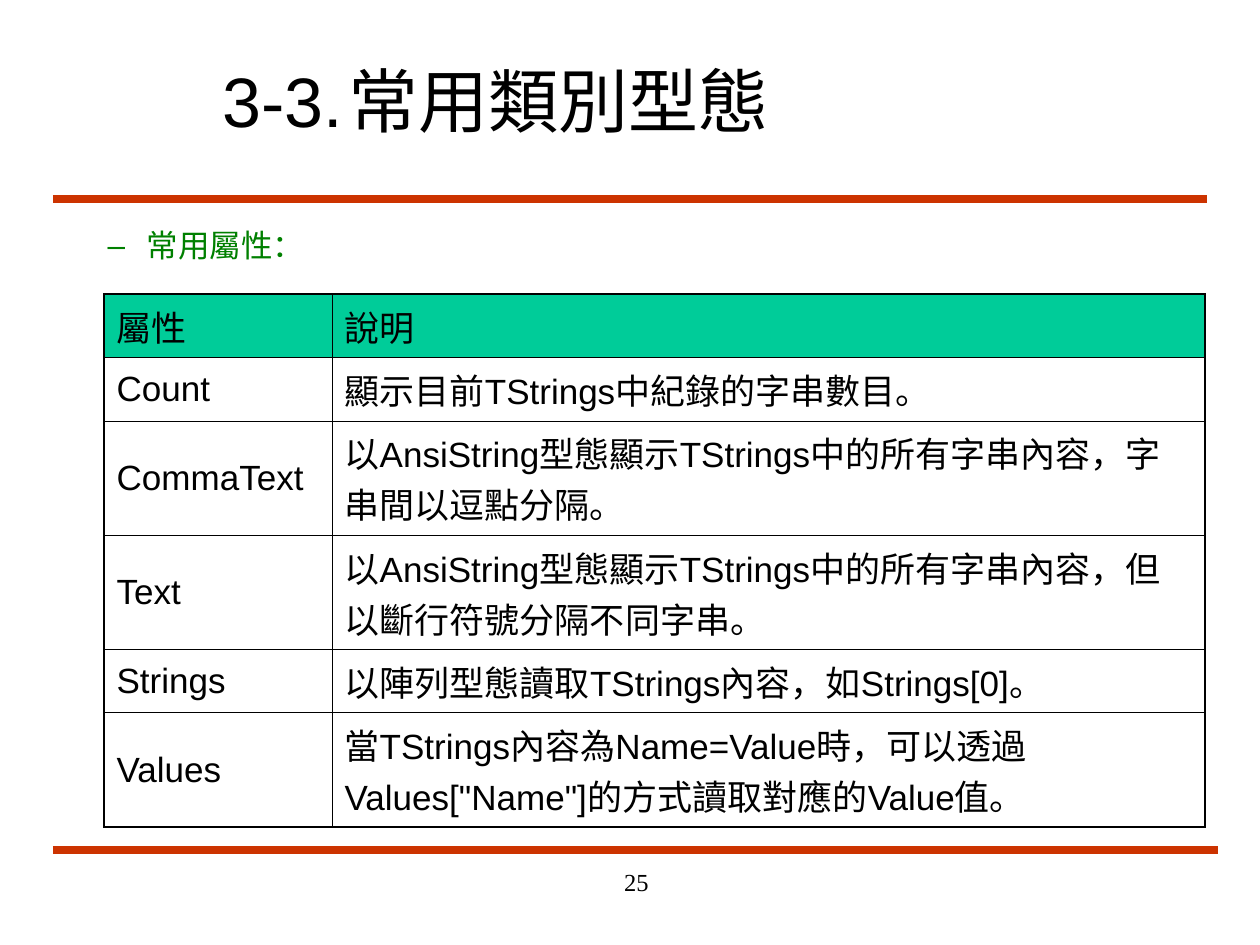
from dataclasses import dataclass

from lxml import etree
from pptx import Presentation
from pptx import util as u
from pptx.dml.color import RGBColor
from pptx.enum import shapes, text
from pptx.oxml.ns import qn

PX_PER_INCH = 126


def px(n):
    return u.Emu(round(n * 914400 / PX_PER_INCH))


@dataclass(frozen=True)
class Theme:
    ink: str = "000000"
    rule: str = "CC3300"
    accent: str = "008000"
    header: str = "00CC99"
    sans: str = "Arial"
    serif: str = "Times New Roman"
    title: float = 40
    table: float = 20
    body: float = 18
    page: float = 14
    rule_width: float = 4.5
    outer: float = 1.08
    inner: float = 0.45


class Deck:
    def __init__(self, theme, width, height):
        self.t = theme
        self.prs = Presentation()
        self.prs.slide_width, self.prs.slide_height = px(width), px(height)

    def new_slide(self):
        self.s = self.prs.slides.add_slide(self.prs.slide_layouts[1])

    def place(self, sp, box):
        sp.left, sp.top, sp.width, sp.height = map(px, box)

    def set_words(self, tf, words, size, color=None, font=None):
        tf.text = words
        p = tf.paragraphs[0]
        for r in p.runs:
            r.font.size = u.Pt(size)
            r.font.name = font or self.t.sans
            r.font.color.rgb = RGBColor.from_string(color or self.t.ink)
        return p

    def title(self, words, box, tab):
        sp = self.s.shapes.title
        self.place(sp, box)
        tf = sp.text_frame
        tf.auto_size = text.MSO_AUTO_SIZE.NONE
        tf.vertical_anchor = text.MSO_ANCHOR.MIDDLE
        p = self.set_words(tf, words, self.t.title)
        p.alignment = text.PP_ALIGN.LEFT
        tabs = etree.SubElement(p._p.get_or_add_pPr(), qn("a:tabLst"))
        etree.SubElement(tabs, qn("a:tab"), pos=str(px(tab)), algn="l")

    def dash_item(self, words, box, margin, hanging):
        sp = self.s.placeholders[1]
        self.place(sp, box)
        tf = sp.text_frame
        tf.auto_size = text.MSO_AUTO_SIZE.NONE
        p = self.set_words(tf, words, self.t.body, self.t.accent)
        p.level = 1
        p.space_before = u.Pt(0)
        pPr = p._p.get_or_add_pPr()
        pPr.set("marL", str(px(margin)))
        pPr.set("indent", str(-px(hanging)))
        color = etree.SubElement(pPr, qn("a:buClr"))
        etree.SubElement(color, qn("a:srgbClr"), val=self.t.accent)
        etree.SubElement(pPr, qn("a:buChar"), char="–")

    def rule(self, x1, x2, y):
        line = self.s.shapes.add_connector(
            shapes.MSO_CONNECTOR.STRAIGHT, px(x1), px(y), px(x2), px(y))
        line.line.color.rgb = RGBColor.from_string(self.t.rule)
        line.line.width = u.Pt(self.t.rule_width)
        etree.SubElement(line._element.spPr, qn("a:effectLst"))

    def border(self, cell, side, width):
        ln = etree.SubElement(cell._tc.get_or_add_tcPr(), qn("a:ln" + side),
                              w=str(u.Pt(width)))
        fill = etree.SubElement(ln, qn("a:solidFill"))
        etree.SubElement(fill, qn("a:srgbClr"), val=self.t.ink)

    def table(self, rows, x, y, widths, heights):
        n_rows, n_cols = len(rows), len(widths)
        tbl = self.s.shapes.add_table(n_rows, n_cols, px(x), px(y),
                                      px(sum(widths)), px(sum(heights))).table
        tbl.first_row = tbl.horz_banding = False
        for col, w in zip(tbl.columns, widths):
            col.width = px(w)
        for row, h in zip(tbl.rows, heights):
            row.height = px(h)
        for i, row in enumerate(rows):
            for j, words in enumerate(row):
                cell = tbl.cell(i, j)
                cell.vertical_anchor = text.MSO_ANCHOR.MIDDLE
                cell.margin_left = cell.margin_right = u.Inches(0.1)
                cell.margin_top = cell.margin_bottom = u.Inches(0.05)
                self.set_words(cell.text_frame, words, self.t.table)
                # Heavier line around the outside of the grid
                edges = {"L": j == 0, "R": j == n_cols - 1,
                         "T": i == 0, "B": i == n_rows - 1}
                for side, outside in edges.items():
                    self.border(cell, side,
                                self.t.outer if outside else self.t.inner)
                if i == 0:
                    cell.fill.solid()
                    cell.fill.fore_color.rgb = RGBColor.from_string(self.t.header)
                else:
                    cell.fill.background()

    def page_number(self, words, box):
        tf = self.s.shapes.add_textbox(*map(px, box)).text_frame
        tf.word_wrap = True
        p = self.set_words(tf, words, self.t.page, font=self.t.serif)
        p.alignment = text.PP_ALIGN.RIGHT


PROPERTIES = [
    ("屬性", "說明"),
    ("Count", "顯示目前TStrings中紀錄的字串數目。"),
    ("CommaText", "以AnsiString型態顯示TStrings中的所有字串內容，字串間以逗點分隔。"),
    ("Text", "以AnsiString型態顯示TStrings中的所有字串內容，但以斷行符號分隔不同字串。"),
    ("Strings", "以陣列型態讀取TStrings內容，如Strings[0]。"),
    ("Values", "當TStrings內容為Name=Value時，可以透過Values[\"Name\"]的方式讀取對應的Value值。"),
]
ONE_LINE, TWO_LINES = 55, 97


def main():
    deck = Deck(Theme(), 1260, 945)
    deck.new_slide()

    # Rules above and below the content
    deck.rule(53, 1207, 199)
    deck.rule(53, 1218, 850)

    # Heading and list
    deck.title("3-3.\t常用類別型態", (210, 42, 955, 116), tab=126)
    deck.dash_item("常用屬性：", (32, 220, 588, 609), margin=102, hanging=39)

    # Property table
    deck.table(PROPERTIES, 104, 294, (228, 873),
               (ONE_LINE, ONE_LINE, TWO_LINES, TWO_LINES, ONE_LINE, TWO_LINES))

    # Page number
    deck.page_number("25", (399, 861, 262, 63))

    deck.prs.save("out.pptx")


if __name__ == "__main__":
    main()
